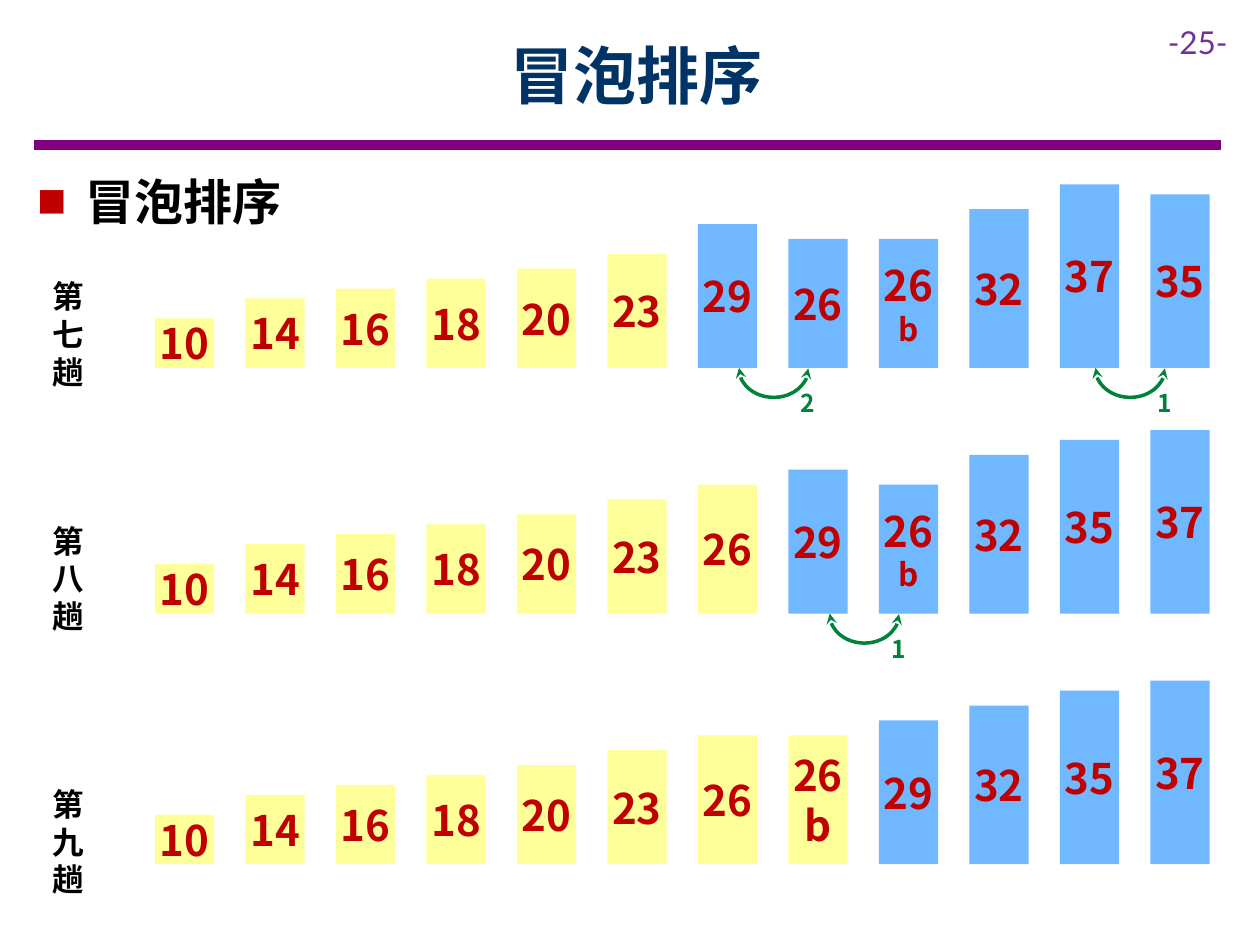
"""Build the slide showing passes seven to nine of a bubble sort."""
from dataclasses import dataclass

from lxml.etree import SubElement
from pptx import Presentation
from pptx.dml.color import RGBColor
from pptx.enum.shapes import MSO_CONNECTOR, MSO_SHAPE
from pptx.enum.text import MSO_ANCHOR, PP_ALIGN
from pptx.oxml.ns import qn
from pptx.util import Inches, Pt

CJK_FONT = "Noto Sans CJK SC"
BLACK = RGBColor(0x00, 0x00, 0x00)
NAVY = RGBColor(0x00, 0x33, 0x66)
PURPLE = RGBColor(0x80, 0x00, 0x80)
VIOLET = RGBColor(0x70, 0x30, 0xA0)
RED = RGBColor(0xC0, 0x00, 0x00)
GREEN = RGBColor(0x00, 0x82, 0x3B)
BLUE = RGBColor(0x70, 0xB8, 0xFF)
YELLOW = RGBColor(0xFF, 0xFF, 0x99)

BAR_LEFT = 1.23
BAR_WIDTH = 0.47
LAST_BAR_LEFT = 9.13
UNITS_PER_INCH = 25.4


@dataclass(frozen=True)
class Swap:
    """A numbered exchange of two neighbouring bars."""
    left: float
    number: str


@dataclass(frozen=True)
class SortPass:
    """One pass: its name, bars, sorted count and exchanges."""
    name: str
    name_top: float
    base: float
    values: str
    sorted_count: int
    suffix_size: int = 18
    swaps: tuple[Swap, ...] = ()


PASSES = (
    SortPass("第七趟", 2.15, 2.92, "10 14 16 18 20 23 29 26 26b 32 37 35", 6,
             swaps=(Swap(8.74, "1"), Swap(5.91, "2"))),
    SortPass("第八趟", 4.09, 4.87, "10 14 16 18 20 23 26 29 26b 32 35 37", 7,
             swaps=(Swap(6.63, "1"),)),
    SortPass("第九趟", 6.18, 6.86, "10 14 16 18 20 23 26 26b 29 32 35 37", 8,
             suffix_size=24),
)


def write(paragraph, text: str, *, size: float, color: RGBColor,
          font: str = CJK_FONT, bold: bool = True, align=PP_ALIGN.LEFT):
    """Write one formatted run into a paragraph."""
    paragraph.alignment = align
    paragraph.line_spacing = Pt(size * 1.2)
    run = paragraph.add_run()
    run.text = text
    run.font.name = font
    run.font.size = Pt(size)
    run.font.bold = bold
    run.font.color.rgb = color
    SubElement(run.font._element, qn("a:ea")).set("typeface", font)
    return paragraph


def add_text(slide, text: str, left: float, top: float, width: float,
             height: float, *, wrap: bool = True, anchor=MSO_ANCHOR.TOP,
             **text_format):
    """Add a text box and return its paragraph."""
    box = slide.shapes.add_textbox(
        Inches(left), Inches(top), Inches(width), Inches(height))
    frame = box.text_frame
    frame.word_wrap = wrap
    frame.vertical_anchor = anchor
    return write(frame.paragraphs[0], text, **text_format)


def add_bullet(paragraph) -> None:
    """Give a paragraph a red square bullet with a hanging indent."""
    properties = paragraph._p.get_or_add_pPr()
    properties.set("marL", str(Inches(0.38)))
    properties.set("indent", str(-Inches(0.38)))
    color = SubElement(properties, qn("a:buClr"))
    SubElement(color, qn("a:srgbClr")).set("val", str(RED))
    SubElement(properties, qn("a:buSzPct")).set("val", "60000")
    SubElement(properties, qn("a:buFont")).set("typeface", CJK_FONT)
    SubElement(properties, qn("a:buChar")).set("char", "■")


def add_rule(slide) -> None:
    """Draw the purple rule under the title."""
    rule = slide.shapes.add_connector(
        MSO_CONNECTOR.STRAIGHT, Inches(0.27), Inches(1.15),
        Inches(9.69), Inches(1.15))
    rule.line.color.rgb = PURPLE
    rule.line.width = Pt(6)
    SubElement(rule._element.spPr, qn("a:effectLst"))


def add_bar(slide, value: str, left: float, base: float, color: RGBColor,
            suffix_size: int) -> None:
    """Draw a bar whose height follows its value."""
    number, suffix = value[:2], value[2:]
    height = int(number) / UNITS_PER_INCH
    bar = slide.shapes.add_shape(
        MSO_SHAPE.RECTANGLE, Inches(left), Inches(base - height),
        Inches(BAR_WIDTH), Inches(height))
    bar.shadow.inherit = False
    bar.fill.solid()
    bar.fill.fore_color.rgb = color
    bar.line.fill.background()
    frame = bar.text_frame
    frame.word_wrap = True
    frame.vertical_anchor = MSO_ANCHOR.MIDDLE
    frame.margin_left = frame.margin_right = 0
    frame.margin_top = frame.margin_bottom = Inches(0.1)
    write(frame.paragraphs[0], number, size=24, color=RED,
          align=PP_ALIGN.CENTER)
    if suffix:
        write(frame.add_paragraph(), suffix, size=suffix_size, color=RED,
              align=PP_ALIGN.CENTER)


def add_swap(slide, swap: Swap, base: float) -> None:
    """Draw a double-headed arc below two bars, with its number."""
    arc = slide.shapes.add_shape(
        MSO_SHAPE.ARC, Inches(swap.left), Inches(base - 0.27),
        Inches(0.46), Inches(0.55))
    arc.rotation = 90
    arc.adjustments[0] = 162
    arc.adjustments[1] = 54.597
    arc.shadow.inherit = False
    arc.fill.background()
    arc.line.color.rgb = GREEN
    arc.line.width = Pt(2)
    for end in ("a:headEnd", "a:tailEnd"):
        SubElement(arc.line._get_or_add_ln(), qn(end)).set("type", "stealth")
    add_text(slide, swap.number, swap.left + 0.34, base + 0.11, 0.32, 0.34,
             wrap=False, size=14, color=GREEN, align=PP_ALIGN.CENTER)


def add_pass(slide, sort_pass: SortPass) -> None:
    """Draw one pass with its name, bars and exchanges."""
    values = sort_pass.values.split()
    pitch = (LAST_BAR_LEFT - BAR_LEFT) / (len(values) - 1)
    for index, value in enumerate(values):
        color = YELLOW if index < sort_pass.sorted_count else BLUE
        add_bar(slide, value, BAR_LEFT + index * pitch, sort_pass.base, color,
                sort_pass.suffix_size)
    for swap in sort_pass.swaps:
        add_swap(slide, swap, sort_pass.base)
    name = add_text(slide, sort_pass.name, 0.32, sort_pass.name_top, 0.52, 1.01,
                    size=18, color=BLACK)
    name.space_after = Pt(6)


def main() -> None:
    """Build and save the presentation."""
    presentation = Presentation()
    presentation.slide_width = Inches(10)
    presentation.slide_height = Inches(7.5)
    slide = presentation.slides.add_slide(presentation.slide_layouts[6])
    add_rule(slide)
    add_text(slide, "-25-", 9.17, 0.13, 0.83, 0.4, size=18, color=VIOLET,
             font="Lato", bold=False)
    heading = add_text(slide, "冒泡排序", 0.2, 1.31, 9.57, 0.57, size=28,
                       color=BLACK)
    heading.space_after = Pt(6)
    add_bullet(heading)
    add_text(slide, "冒泡排序", 0.9, 0.09, 8.31, 1, size=36, color=NAVY,
             anchor=MSO_ANCHOR.MIDDLE, align=PP_ALIGN.CENTER)
    for sort_pass in PASSES:
        add_pass(slide, sort_pass)
    presentation.save("out.pptx")


if __name__ == "__main__":
    main()
